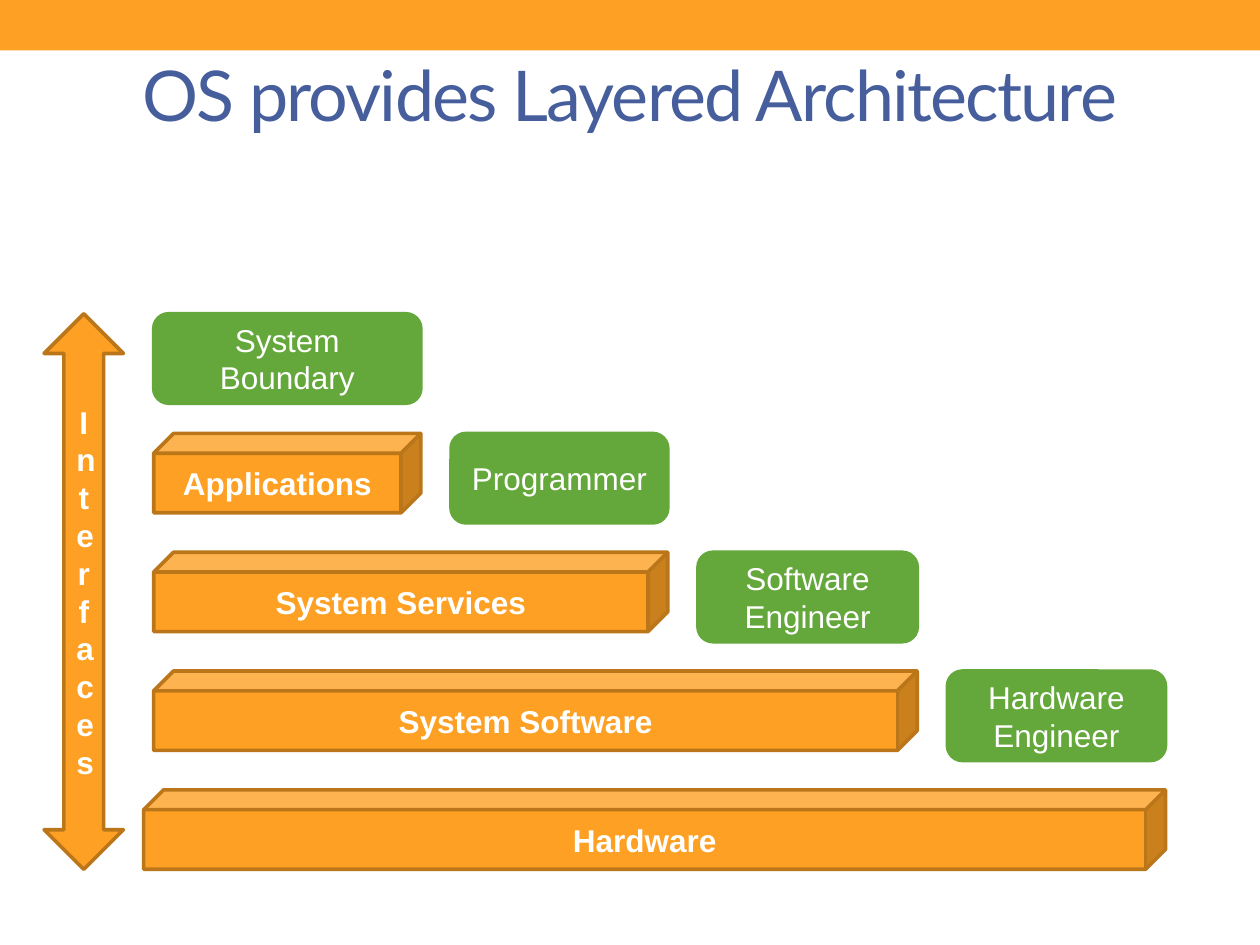
"""Build the slide on the layered architecture of an operating system."""
import dataclasses

import pptx
import pptx.dml.color
import pptx.enum.shapes
import pptx.enum.text
import pptx.util

Inches = pptx.util.Inches
Shape = pptx.enum.shapes.MSO_SHAPE
Anchor = pptx.enum.text.MSO_ANCHOR


@dataclasses.dataclass(frozen=True)
class Theme:
    orange: str = "FDA023"
    brown: str = "BB761A"
    green: str = "64A73B"
    blue: str = "465E9C"
    white: str = "FFFFFF"
    title_font: str = "Lato"
    body_font: str = "Arial"
    title_size: int = 40
    body_size: int = 18
    outline: float = 2.08


class LayerSlide:
    def __init__(self, slide, theme):
        self.slide = slide
        self.theme = theme

    def format_text(self, frame, text, color, anchor, **font_values):
        frame.word_wrap = True
        frame.auto_size = pptx.enum.text.MSO_AUTO_SIZE.NONE
        frame.vertical_anchor = anchor
        paragraph = frame.paragraphs[0]
        paragraph.text = text
        paragraph.alignment = pptx.enum.text.PP_ALIGN.CENTER
        for run in paragraph.runs:
            for attribute, value in font_values.items():
                setattr(run.font, attribute, value)
            run.font.color.rgb = pptx.dml.color.RGBColor.from_string(color)
        return paragraph

    def title(self, text, left, top, width, height):
        heading = self.slide.shapes.title
        box = dict(left=left, top=top, width=width, height=height)
        for attribute, value in box.items():
            setattr(heading, attribute, Inches(value))
        paragraph = self.format_text(
            heading.text_frame, text, self.theme.blue, Anchor.TOP,
            name=self.theme.title_font, size=pptx.util.Pt(self.theme.title_size))
        for run in paragraph.runs:
            run.font._element.set("spc", "-100")

    def block(self, kind, left, top, width, height, fill, line=None):
        block = self.slide.shapes.add_shape(
            kind, Inches(left), Inches(top), Inches(width), Inches(height))
        block.shadow.inherit = False
        block.fill.solid()
        block.fill.fore_color.rgb = pptx.dml.color.RGBColor.from_string(fill)
        if line:
            block.line.color.rgb = pptx.dml.color.RGBColor.from_string(line)
            block.line.width = pptx.util.Pt(self.theme.outline)
        else:
            block.line.fill.background()
        return block

    def label(self, block, text, bold):
        self.format_text(
            block.text_frame, text, self.theme.white, Anchor.MIDDLE,
            name=self.theme.body_font, size=pptx.util.Pt(self.theme.body_size), bold=bold)

    def layer(self, text, left, top, right):
        cube = self.block(Shape.CUBE, left, top, right - left, 0.63,
                          self.theme.orange, self.theme.brown)
        self.label(cube, text, True)

    def role(self, text, left, top, right):
        card = self.block(Shape.ROUNDED_RECTANGLE, left, top, right - left, 0.71,
                          self.theme.green, self.theme.green)
        self.label(card, text, False)

    def interface_arrow(self, text, left, top, width, height):
        arrow = self.block(Shape.UP_DOWN_ARROW, left, top, width, height,
                           self.theme.orange, self.theme.brown)
        self.label(arrow, text, True)


def main():
    deck = pptx.Presentation()
    deck.slide_width, deck.slide_height = Inches(10), Inches(7.5)
    theme = Theme()
    page = LayerSlide(deck.slides.add_slide(deck.slide_layouts[5]), theme)
    page.block(Shape.RECTANGLE, 0, 0, 10, 0.4, theme.orange)
    page.title("OS provides Layered Architecture", 0.5, 0.36, 9, 1.08)

    layers_left, first_top, step, gap = 1.22, 3.44, 0.943, 0.24
    layers = [("Applications", layers_left, 3.34), ("System Services", layers_left, 5.3),
              ("System Software", layers_left, 7.28), ("Hardware", 1.14, 9.25)]
    roles = ["Programmer", "Software\nEngineer", "Hardware\nEngineer"]

    page.role("System Boundary", layers_left, 2.49, layers[0][2])
    for level, (layer, left, right) in enumerate(layers):
        page.layer(layer, left, first_top + level * step, right)
    for level, role in enumerate(roles):
        page.role(role, layers[level][2] + gap, first_top + level * step,
                  layers[level + 1][2])
    page.interface_arrow("Interfaces", 0.35, 2.49, 0.63, 4.41)
    deck.save("out.pptx")


if __name__ == "__main__":
    main()
